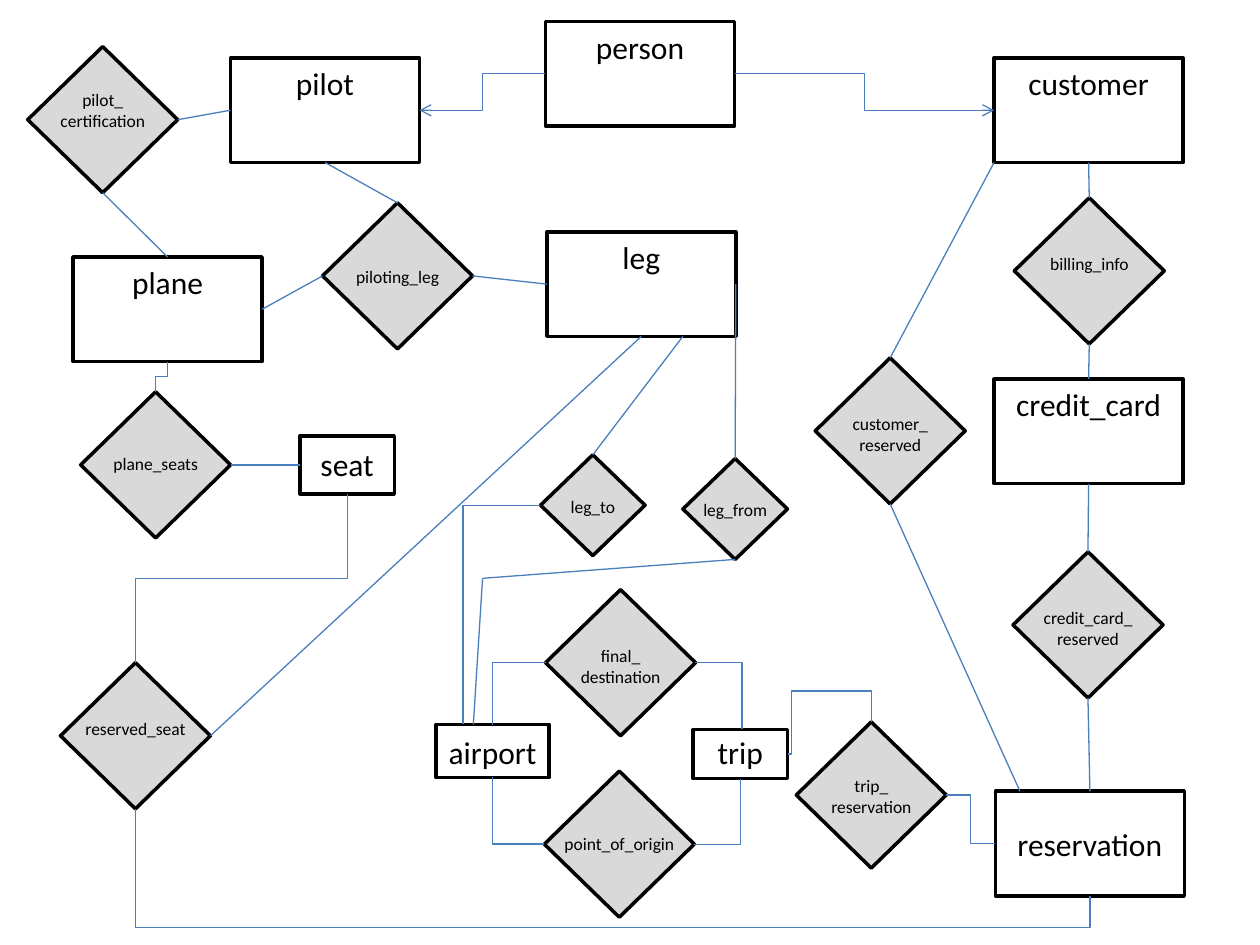
from dataclasses import dataclass

from lxml import etree
from pptx import Presentation
from pptx.dml.color import RGBColor
from pptx.enum.shapes import MSO_CONNECTOR, MSO_SHAPE
from pptx.enum.text import MSO_ANCHOR, MSO_AUTO_SIZE, PP_ALIGN
from pptx.oxml.ns import qn
from pptx.util import Inches, Pt

RECTANGLE, DIAMOND = MSO_SHAPE.RECTANGLE, MSO_SHAPE.DIAMOND
STRAIGHT, ELBOW = MSO_CONNECTOR.STRAIGHT, MSO_CONNECTOR.ELBOW
CENTER, TOP, FIT = PP_ALIGN.CENTER, MSO_ANCHOR.TOP, MSO_AUTO_SIZE.SHAPE_TO_FIT_TEXT
COLUMNS, ROWS = 100, 75
LEFT_SIDE, RIGHT_SIDE, TOP_SIDE, BOTTOM_SIDE = (0, 0.5), (1, 0.5), (0.5, 0), (0.5, 1)
QUARTER_TURN = "5400000"


@dataclass(frozen=True)
class Theme:
    font: str = "Calibri"
    ink: RGBColor = RGBColor(0, 0, 0)
    entity_fill: RGBColor = RGBColor(255, 255, 255)
    relationship_fill: RGBColor = RGBColor(0xD9, 0xD9, 0xD9)
    link: RGBColor = RGBColor(0x4B, 0x7E, 0xBC)
    entity_size: Pt = Pt(18)
    relationship_size: Pt = Pt(10)
    outline: Pt = Pt(2)
    link_width: Pt = Pt(0.75)


THEME = Theme()
CAPTION_FORMAT = {"word_wrap": True, "auto_size": FIT, "vertical_anchor": TOP,
                  "margin_left": 0, "margin_right": 0}

LARGE, SMALL = (15, 8.3), (7.5, 4.6)
WIDE_DIAMOND, SMALL_DIAMOND = (11.9, 11.6), (8.3, 8)

ENTITIES = {
    "person": ((43.3, 1.7), LARGE, 0),
    "pilot": ((18.3, 4.6), LARGE, 0),
    "customer": ((78.9, 4.6), LARGE, 0),
    "plane": ((5.8, 20.4), LARGE, 0),
    "credit_card": ((78.9, 30.1), LARGE, 0),
    "airport": ((34.6, 57.5), (9, 4.2), 0.2),
    "seat": ((23.8, 34.6), SMALL, 0.2),
    "reservation": ((79, 62.8), LARGE, 2.2),
    "trip": ((55, 57.9), (7.5, 3.9), -0.2),
    "leg": ((43.4, 18.4), LARGE, 0),
}
RELATIONSHIPS = {
    "pilot_\ncertification": ((2.2, 3.7), WIDE_DIAMOND, 2.9),
    "billing_info": ((80.5, 15.7), WIDE_DIAMOND, 3.9),
    "point_of_origin": ((43.2, 61.2), WIDE_DIAMOND, 4.4),
    "final_\ndestination": ((43.3, 46.8), WIDE_DIAMOND, 3.9),
    "customer_\nreserved": ((64.7, 28.4), WIDE_DIAMOND, 3.9),
    "credit_card_\nreserved": ((80.4, 43.8), WIDE_DIAMOND, 3.9),
    "piloting_leg": ((25.6, 16.1), WIDE_DIAMOND, 4.5),
    "trip_\nreservation": ((63.2, 57.3), WIDE_DIAMOND, 3.7),
    "plane_seats": ((6.4, 31.1), WIDE_DIAMOND, 4.4),
    "reserved_seat": ((4.8, 52.6), WIDE_DIAMOND, 3.9),
    "leg_to": ((42.9, 36.1), SMALL_DIAMOND, 2.8),
    "leg_from": ((54.2, 36.4), SMALL_DIAMOND, 2.7),
}
BENDS = {"airport approach": ((38.3, 45.9), (0, 0), 0)}

STRAIGHT_LINKS = [
    ("pilot", BOTTOM_SIDE, "piloting_leg", TOP_SIDE),
    ("pilot", LEFT_SIDE, "pilot_\ncertification", RIGHT_SIDE),
    ("pilot_\ncertification", BOTTOM_SIDE, "plane", TOP_SIDE),
    ("piloting_leg", LEFT_SIDE, "plane", RIGHT_SIDE),
    ("piloting_leg", RIGHT_SIDE, "leg", LEFT_SIDE),
    ("customer", BOTTOM_SIDE, "billing_info", TOP_SIDE),
    ("billing_info", BOTTOM_SIDE, "credit_card", TOP_SIDE),
    ("credit_card", BOTTOM_SIDE, "credit_card_\nreserved", TOP_SIDE),
    ("credit_card_\nreserved", BOTTOM_SIDE, "reservation", TOP_SIDE),
    ("customer_\nreserved", BOTTOM_SIDE, "reservation", (0.13, 0)),
    ("customer_\nreserved", TOP_SIDE, "customer", (0, 1)),
    ("reserved_seat", RIGHT_SIDE, "leg", BOTTOM_SIDE),
    ("leg", (0.72, 1), "leg_to", TOP_SIDE),
    ("leg", RIGHT_SIDE, "leg_from", TOP_SIDE),
    ("leg_from", BOTTOM_SIDE, "airport approach", TOP_SIDE),
    ("airport approach", TOP_SIDE, "airport", (0.33, 0)),
]
ELBOW_LINKS = [
    ("person", LEFT_SIDE, "pilot", RIGHT_SIDE, {"arrow": True}),
    ("person", RIGHT_SIDE, "customer", LEFT_SIDE, {"arrow": True}),
    ("trip_\nreservation", RIGHT_SIDE, "reservation", LEFT_SIDE, {}),
    ("point_of_origin", RIGHT_SIDE, "trip", BOTTOM_SIDE, {"legs": 2}),
    ("point_of_origin", LEFT_SIDE, "airport", BOTTOM_SIDE, {"legs": 2}),
    ("final_\ndestination", RIGHT_SIDE, "trip", (0.52, 0), {"legs": 2}),
    ("final_\ndestination", LEFT_SIDE, "airport", TOP_SIDE, {"legs": 2}),
    ("leg_to", LEFT_SIDE, "airport", (0.24, 0), {"legs": 2}),
    ("plane", BOTTOM_SIDE, "plane_seats", TOP_SIDE, {"vertical": True}),
    ("plane_seats", RIGHT_SIDE, "seat", LEFT_SIDE, {}),
    ("seat", BOTTOM_SIDE, "reserved_seat", TOP_SIDE, {"vertical": True}),
    ("reserved_seat", BOTTOM_SIDE, "reservation", BOTTOM_SIDE,
     {"vertical": True, "bends": (1.36,)}),
    ("trip", RIGHT_SIDE, "trip_\nreservation", TOP_SIDE,
     {"legs": 4, "bends": (0.05, 1.96)}),
]


def apply_format(target, values):
    for attribute, value in values.items():
        setattr(target, attribute, value)


def cell_box(region, position, size):
    left, top, width, height = region
    column, row = width / COLUMNS, height / ROWS
    return (round(left + position[0] * column), round(top + position[1] * row),
            round(size[0] * column), round(size[1] * row))


def anchor(box, share):
    return box[0] + box[2] * share[0], box[1] + box[3] * share[1]


def draw_caption(slide, box, text, size):
    frame = slide.shapes.add_textbox(*box).text_frame
    apply_format(frame, CAPTION_FORMAT)
    frame.text = text
    for paragraph in frame.paragraphs:
        paragraph.alignment = CENTER
        apply_format(paragraph.font, {"name": THEME.font, "size": size})
        paragraph.font.color.rgb = THEME.ink


def draw_node(slide, box, outline, fill):
    node = slide.shapes.add_shape(outline, *box)
    node.shadow.inherit = False
    node.fill.solid()
    node.fill.fore_color.rgb = fill
    node.line.color.rgb = THEME.ink
    node.line.width = THEME.outline


def draw_nodes(slide, region, nodes, outline, fill, size):
    for name, (position, extent, drop) in nodes.items():
        draw_node(slide, cell_box(region, position, extent), outline, fill)
        lines = name.count("\n") + 1
        caption_height = 1 + lines * size.pt * 1.22 / 7.2
        caption = cell_box(region, (position[0], position[1] + drop),
                           (extent[0], caption_height))
        draw_caption(slide, caption, name, size)


def draw_link(slide, kind, start, end):
    link = slide.shapes.add_connector(kind, *map(round, start + end))
    link.line.color.rgb = THEME.link
    link.line.width = THEME.link_width
    etree.SubElement(link._element.spPr, qn("a:effectLst"))
    return link


def draw_elbow(slide, start, end, legs=3, vertical=False, bends=(), arrow=False):
    if vertical:
        middle = (start[0] + end[0]) / 2, (start[1] + end[1]) / 2
        reach = (end[1] - start[1]) / 2, (start[0] - end[0]) / 2
        start = middle[0] - reach[0], middle[1] - reach[1]
        end = middle[0] + reach[0], middle[1] + reach[1]
    link = draw_link(slide, ELBOW, start, end)
    properties = link._element.spPr
    if vertical:
        properties.find(qn("a:xfrm")).set("rot", QUARTER_TURN)
    geometry = properties.find(qn("a:prstGeom"))
    geometry.set("prst", f"bentConnector{legs}")
    for number, bend in enumerate(bends, 1):
        etree.SubElement(geometry.find(qn("a:avLst")), qn("a:gd"),
                         name=f"adj{number}", fmla=f"val {round(bend * 100000)}")
    if arrow:
        etree.SubElement(properties.find(qn("a:ln")), qn("a:tailEnd"), type="arrow")


def draw_diagram(slide, region):
    draw_nodes(slide, region, ENTITIES, RECTANGLE, THEME.entity_fill, THEME.entity_size)
    draw_nodes(slide, region, RELATIONSHIPS, DIAMOND, THEME.relationship_fill,
               THEME.relationship_size)
    boxes = {name: cell_box(region, position, extent) for name, (position, extent, _)
             in {**ENTITIES, **RELATIONSHIPS, **BENDS}.items()}
    for source, leaving, target, entering in STRAIGHT_LINKS:
        draw_link(slide, STRAIGHT, anchor(boxes[source], leaving),
                  anchor(boxes[target], entering))
    for source, leaving, target, entering, route in ELBOW_LINKS:
        draw_elbow(slide, anchor(boxes[source], leaving),
                   anchor(boxes[target], entering), **route)


def main():
    deck = Presentation()
    apply_format(deck, {"slide_width": Inches(10), "slide_height": Inches(7.5)})
    slide = deck.slides.add_slide(deck.slide_layouts[6])
    draw_diagram(slide, (0, 0, deck.slide_width, deck.slide_height))
    deck.save("out.pptx")


if __name__ == "__main__":
    main()
